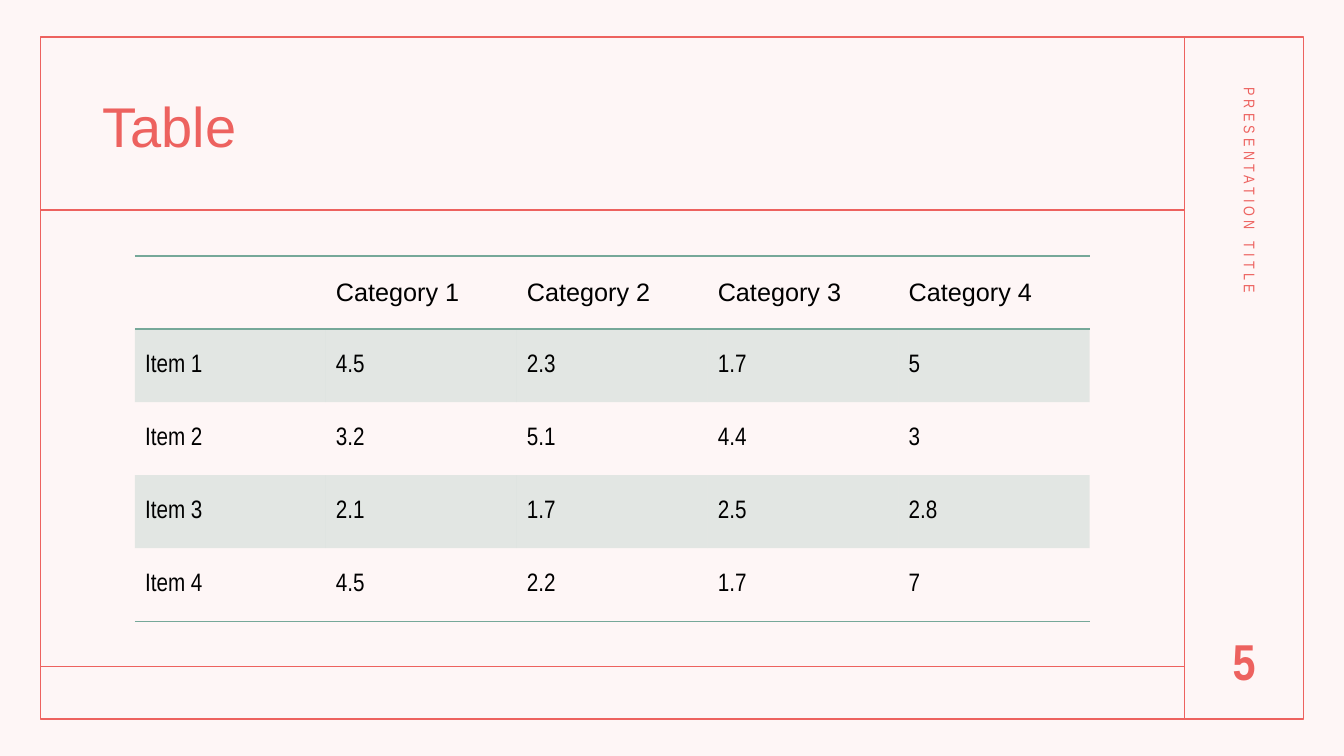
from lxml.etree import SubElement
from pptx import Presentation
from pptx.dml.color import RGBColor
from pptx.enum.shapes import MSO_CONNECTOR, MSO_SHAPE
from pptx.enum.text import MSO_ANCHOR, PP_ALIGN
from pptx.oxml import parse_xml
from pptx.oxml.ns import nsdecls, qn
from pptx.util import Pt

CORAL = RGBColor(0xED, 0x62, 0x5F)
BLUSH = RGBColor(0xFE, 0xF6, 0xF6)
GREEN = RGBColor(0x76, 0xA8, 0x99)
BLACK = RGBColor(0, 0, 0)
PLAIN = "{2D5ABB26-0587-4C30-8999-92F81FD0307C}"

TITLE = {"name": "Arial", "size": Pt(40), "color": CORAL}
HEAD = {"name": "Arial", "size": Pt(18), "color": BLACK}
BODY = {**HEAD, "name": "Arial Narrow"}
SIDE = {"name": "Arial Narrow", "size": Pt(11), "color": CORAL}
PAGE = {**SIDE, "size": Pt(36), "bold": True}

ROWS = [
    ["", "Category 1", "Category 2", "Category 3", "Category 4"],
    ["Item 1", "4.5", "2.3", "1.7", "5"],
    ["Item 2", "3.2", "5.1", "4.4", "3"],
    ["Item 3", "2.1", "1.7", "2.5", "2.8"],
    ["Item 4", "4.5", "2.2", "1.7", "7"],
]


def style(font, look):
    for key, value in look.items():
        if key == "color":
            font.color.rgb = value
        else:
            setattr(font, key, value)


def add_text(slide, box, text, look, **format):
    """Place one line of text; format holds paragraph settings."""
    shape = slide.shapes.add_textbox(*map(Pt, box))
    shape.text_frame.word_wrap = True
    para = shape.text_frame.paragraphs[0]
    for key, value in format.items():
        setattr(para, key, value)
    run = para.add_run()
    run.text = text
    style(run.font, look)
    return shape


def add_rule(slide, *ends):
    rule = slide.shapes.add_connector(MSO_CONNECTOR.STRAIGHT, *map(Pt, ends))
    rule.line.color.rgb = CORAL
    rule.line.width = Pt(1)
    SubElement(rule._element.spPr, qn("a:effectLst"))


def add_frame(slide, box, split, rules):
    """Outline the box, split off a right column and rule the left part."""
    left, top, width, height = box
    frame = slide.shapes.add_shape(MSO_SHAPE.RECTANGLE, *map(Pt, box))
    frame.shadow.inherit = False
    frame.fill.background()
    frame.line.color.rgb = CORAL
    frame.line.width = Pt(1)
    add_rule(slide, left + split, top, left + split, top + height)
    for drop in rules:
        add_rule(slide, left, top + drop, left + split, top + drop)


def add_title(slide, box):
    title = add_text(slide, box, "Table", TITLE, line_spacing=0.9)
    title.text_frame.vertical_anchor = MSO_ANCHOR.MIDDLE


def tint(cell):
    cell.fill.solid()
    cell.fill.fore_color.rgb = GREEN
    color = cell._tc.tcPr.find(".//" + qn("a:srgbClr"))
    SubElement(color, qn("a:alpha"), val="20000")


def edge(cell, sides):
    for spot, side in enumerate(sides):
        line = parse_xml(
            f'<a:ln{side} {nsdecls("a")} w="12700"><a:solidFill>'
            f'<a:srgbClr val="{GREEN}"/></a:solidFill></a:ln{side}>')
        cell._tc.get_or_add_tcPr().insert(spot, line)


def add_grid(slide, box):
    left, top, width, height = box
    count, span = len(ROWS), len(ROWS[0])
    frame = slide.shapes.add_table(count, span, *map(Pt, box))
    table = frame.table
    table.first_row = table.horz_banding = False
    table._tbl.tblPr.find(qn("a:tableStyleId")).text = PLAIN
    for col in table.columns:
        col.width = Pt(width / span)
    for row in table.rows:
        row.height = Pt(height / count)
    sides = {0: "TB", count - 1: "B"}
    for r, row in enumerate(ROWS):
        for c, text in enumerate(row):
            cell = table.cell(r, c)
            cell.vertical_anchor = MSO_ANCHOR.MIDDLE
            cell.text = text
            style(cell.text_frame.paragraphs[0].font, BODY if r else HEAD)
            if r % 2:
                tint(cell)
            else:
                cell.fill.background()
            edge(cell, sides.get(r, ""))


def add_side(slide, box):
    """Fill the right column: turned label on top, page number below."""
    left, top, width, height = box
    mid = left + width / 2
    long, thick = 324, 28.8
    label = add_text(slide, (mid - long / 2, top + 28.6 + (long - thick) / 2,
                             long, thick), "PRESENTATION TITLE", SIDE)
    label.rotation = 90
    run = label.text_frame.paragraphs[0].runs[0]
    run.font._element.set("spc", "300")
    add_text(slide, (mid - 37.5, top + height - 67.5, 75, 60), "5", PAGE,
             alignment=PP_ALIGN.CENTER)


def main():
    deck = Presentation()
    deck.slide_width, deck.slide_height = Pt(960), Pt(540)
    slide = deck.slides.add_slide(deck.slide_layouts[6])
    slide.background.fill.solid()
    slide.background.fill.fore_color.rgb = BLUSH
    add_frame(slide, (28.8, 26.5, 902.4, 487.2), 817.4, (123.4, 449.4))
    add_title(slide, (66.2, 43.2, 750.2, 97.9))
    add_grid(slide, (96.4, 182.9, 682, 260.8))
    add_side(slide, (846.2, 26.5, 85, 487.2))
    deck.save("out.pptx")


if __name__ == "__main__":
    main()
